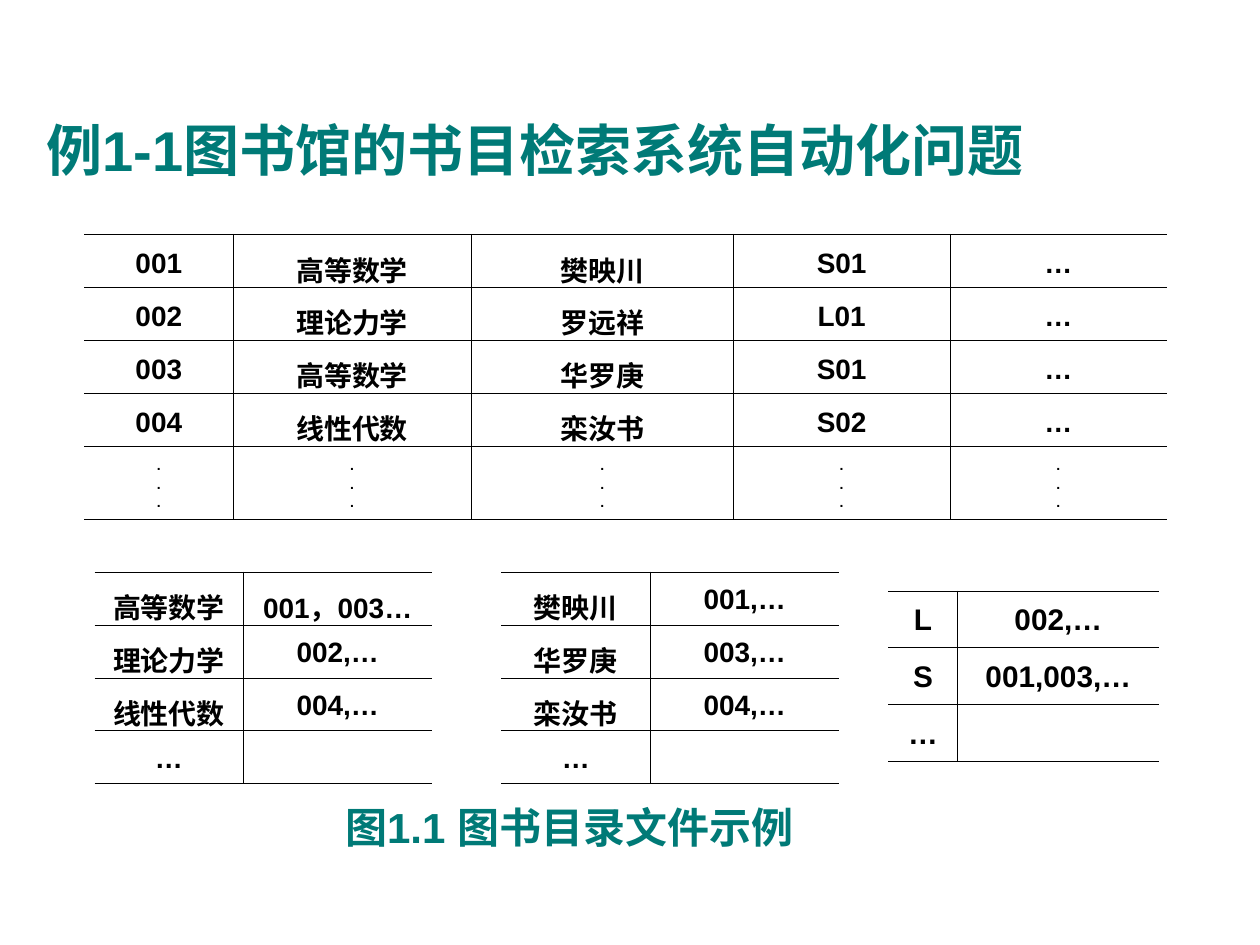
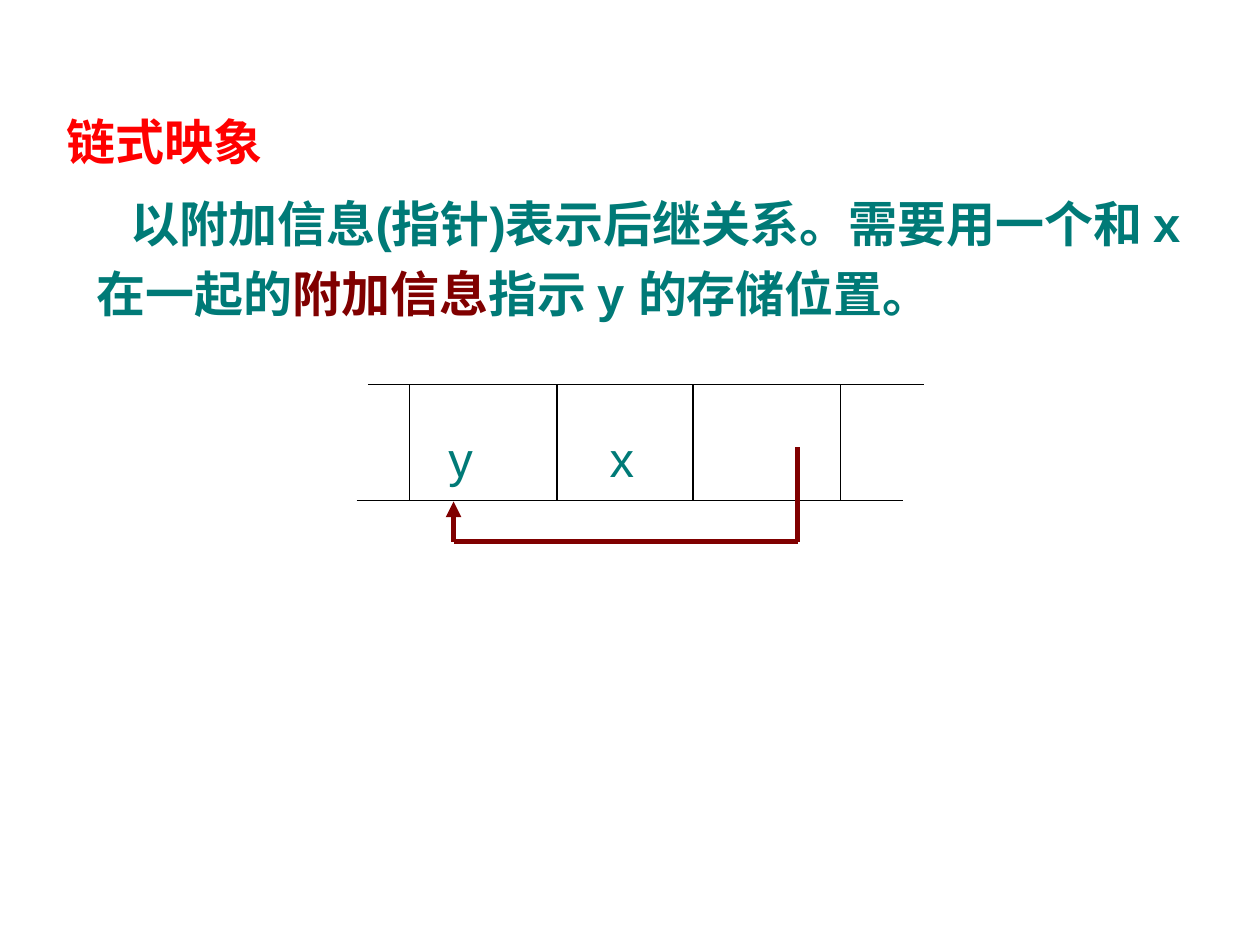
from lxml.etree import SubElement
from pptx import Presentation
from pptx.dml.color import RGBColor
from pptx.enum.shapes import MSO_CONNECTOR
from pptx.enum.text import MSO_ANCHOR, MSO_AUTO_SIZE, PP_ALIGN
from pptx.oxml.ns import qn
from pptx.util import Emu, Pt

PX_PER_INCH = 100
FONT = "Arial"
TEAL = "007A77"
RED = "FF0000"
MAROON = "800000"
BLACK = "000000"
BORDER_WIDTH = Pt(0.45)
DOTS = ".\n.\n."
BOOKS = [
    ["001", "高等数学", "樊映川", "S01", "…"],
    ["002", "理论力学", "罗远祥", "L01", "…"],
    ["003", "高等数学", "华罗庚", "S01", "…"],
    ["004", "线性代数", "栾汝书", "S02", "…"],
    [DOTS] * 5,
]
TITLE_INDEX = [
    ["高等数学", "001，003…"],
    ["理论力学", "002,…"],
    ["线性代数", "004,…"],
    ["…", ""],
]
AUTHOR_INDEX = [
    ["樊映川", "001,…"],
    ["华罗庚", "003,…"],
    ["栾汝书", "004,…"],
    ["…", ""],
]
CLASS_INDEX = [["L", "002,…"], ["S", "001,003,…"], ["…", ""]]


def px(length):
    return Emu(round(length * 914400 / PX_PER_INCH))


def rgb(value):
    return RGBColor.from_string(value)


def add_span(para, text, size, color, bold):
    span = para.add_run()
    span.text = text
    span.font.name = FONT
    span.font.size = Pt(size)
    span.font.bold = bold
    span.font.color.rgb = rgb(color)


def write_text(frame, text, size=16, color=BLACK, bold=True, align=PP_ALIGN.LEFT,
               indent=0, tab=None):
    for number, line in enumerate(text.split("\n")):
        para = frame.add_paragraph() if number else frame.paragraphs[0]
        para.alignment = align
        para.line_spacing = 1.2
        properties = para._p.get_or_add_pPr()
        if indent:
            properties.set("indent", str(px(indent)))
        if tab:
            stops = SubElement(properties, qn("a:tabLst"))
            SubElement(stops, qn("a:tab"), pos=str(px(tab)), algn="l")
        add_span(para, line, size, color, bold)
    return para


def add_text(page, box, text, **text_format):
    frame = page.shapes.add_textbox(*map(px, box)).text_frame
    frame.word_wrap = True
    frame.auto_size = MSO_AUTO_SIZE.SHAPE_TO_FIT_TEXT
    return write_text(frame, text, **text_format)


def draw_borders(cell, first, last):
    properties = cell._tc.get_or_add_tcPr()
    open_sides = {"L": first, "R": last, "T": False, "B": False}
    for side, is_open in open_sides.items():
        line = SubElement(properties, qn(f"a:ln{side}"), w=str(BORDER_WIDTH))
        if is_open:
            SubElement(line, qn("a:noFill"))
        else:
            fill = SubElement(line, qn("a:solidFill"))
            SubElement(fill, qn("a:srgbClr"), val=BLACK)


def add_grid(page, left, top, widths, heights, rows, size=16, anchor=MSO_ANCHOR.TOP):
    frame = page.shapes.add_table(len(rows), len(widths), px(left), px(top),
                                  px(sum(widths)), px(sum(heights)))
    table = frame.table
    table.first_row = table.horz_banding = False
    for column, width in zip(table.columns, widths):
        column.width = px(width)
    for row, height, texts in zip(table.rows, heights, rows):
        row.height = px(height)
        for number, (cell, text) in enumerate(zip(row.cells, texts)):
            draw_borders(cell, number == 0, number == len(widths) - 1)
            cell.fill.background()
            cell.vertical_anchor = anchor
            write_text(cell.text_frame, text, size=8 if text == DOTS else size,
                       align=PP_ALIGN.CENTER)


def add_line(page, start, end, color=BLACK, width=0.75, arrow=False):
    line = page.shapes.add_connector(MSO_CONNECTOR.STRAIGHT, *map(px, start + end))
    line.line.color.rgb = rgb(color)
    line.line.width = Pt(width)
    if arrow:
        SubElement(line.line._get_or_add_ln(), qn("a:headEnd"), type="triangle")
    SubElement(line._element.spPr, qn("a:effectLst"))


def draw_memory_cells(page, left, top):
    height = 92
    bottom = top + height
    add_text(page, (left + 63, top + 21, 351, 66), "y\tx",
             size=28, color=TEAL, bold=False, tab=128)
    add_line(page, (left + 9, top), (left + 450, top))
    add_line(page, (left, bottom), (left + 434, bottom))
    for divider in (42, 159, 267, 384):
        add_line(page, (left + divider, top), (left + divider, bottom))

    target, source, base = left + 77, left + 350, bottom + 33
    pointer = {"color": MAROON, "width": 3}
    add_line(page, (source, top + 50), (source, base), **pointer)
    add_line(page, (target, base), (source, base), **pointer)
    add_line(page, (target, bottom + 1), (target, base), arrow=True, **pointer)


def build_catalogue_page(page):
    add_text(page, (27, 76, 953, 74), "例1-1图书馆的书目检索系统自动化问题",
             size=32, color=TEAL)
    add_grid(page, 67, 186, [118, 189, 208, 172, 172], [42] * 4 + [58], BOOKS,
             anchor=MSO_ANCHOR.MIDDLE)
    for left, rows in ((75, TITLE_INDEX), (398, AUTHOR_INDEX)):
        add_grid(page, left, 454, [118, 150], [42] * 4, rows)
    add_grid(page, 705, 469, [55, 160], [45] * 3, CLASS_INDEX, size=17)
    add_text(page, (264, 623, 449, 58), "图1.1 图书目录文件示例", size=24, color=TEAL)


def build_linked_page(page):
    add_text(page, (43, 74, 386, 66), "链式映象", size=28, color=RED)
    para = add_text(page, (67, 139, 888, 122),
                    "以附加信息(指针)表示后继关系。需要用一个和 x 在一起的",
                    size=28, color=TEAL, indent=27)
    add_span(para, "附加信息", 28, MAROON, True)
    add_span(para, "指示 y 的存储位置。", 28, TEAL, True)
    draw_memory_cells(page, 283, 305)


def main():
    deck = Presentation()
    deck.slide_width, deck.slide_height = px(1000), px(750)
    for build in (build_catalogue_page, build_linked_page):
        build(deck.slides.add_slide(deck.slide_layouts[6]))
    deck.save("out.pptx")


if __name__ == "__main__":
    main()
